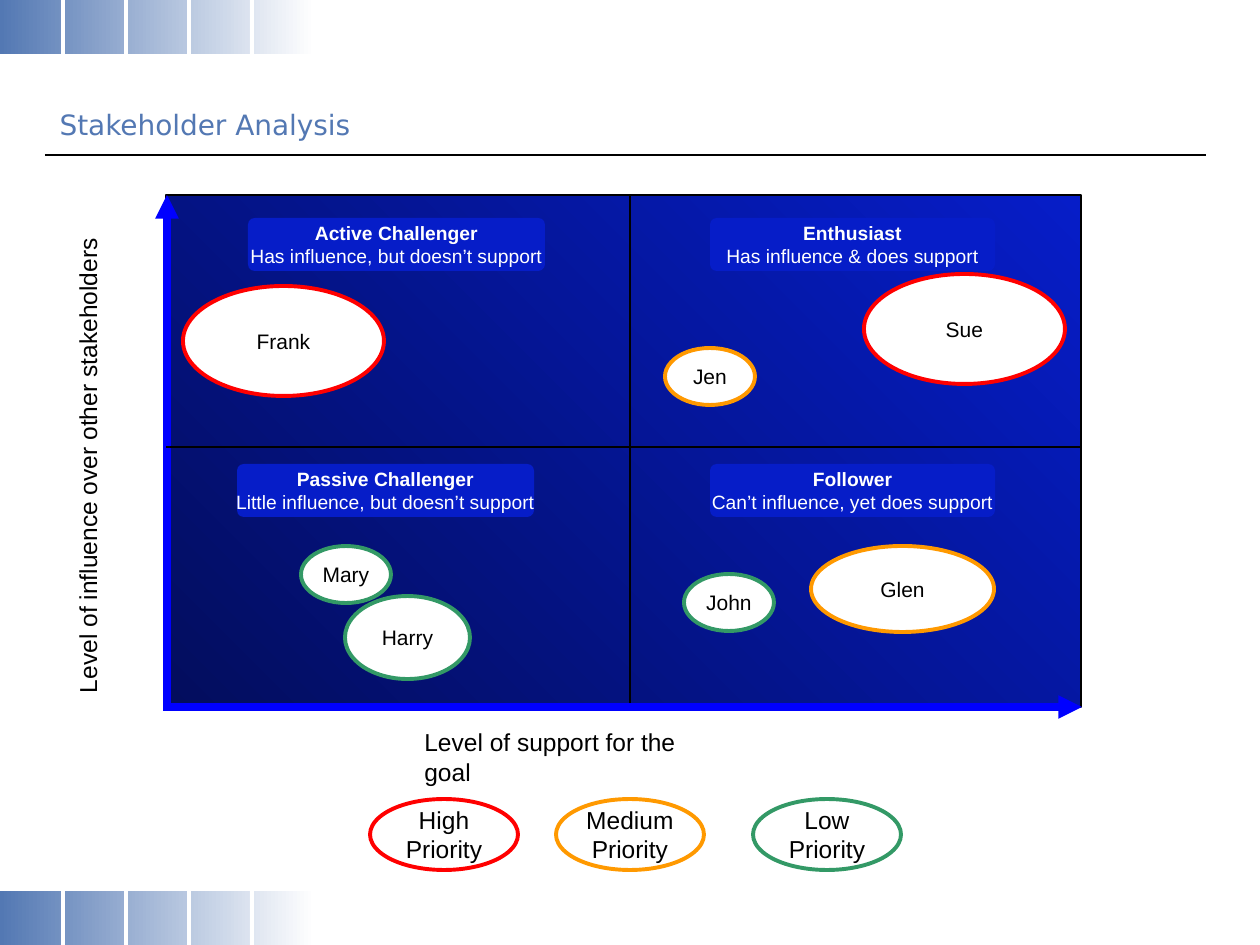
from lxml.etree import SubElement
from pptx import Presentation
from pptx.dml.color import RGBColor
from pptx.enum.shapes import MSO_CONNECTOR, MSO_SHAPE
from pptx.enum.text import MSO_ANCHOR, MSO_AUTO_SIZE, PP_ALIGN
from pptx.oxml.ns import qn
from pptx.util import Emu, Pt

BLACK, WHITE = "000000", "FFFFFF"
STEEL, NAVY, ROYAL, BLUE = "5378B3", "030D5D", "061DC8", "0000FF"
HIGH, MEDIUM, LOW = "FF0000", "FF9900", "339966"


def color(value):
    return RGBColor.from_string(value)


def px(value):
    return Emu(round(value * 914400 / 126))


class SlideBuilder:
    """Draws styled elements on the current slide."""

    font = "Arial"
    title_font = "DejaVu Sans"

    def __init__(self, slide):
        self.slide = slide

    def add_lines(self, frame, lines, size, text_color, align=PP_ALIGN.CENTER, bold_first=False, font=None):
        for index, text in enumerate(lines):
            paragraph = frame.paragraphs[0] if index == 0 else frame.add_paragraph()
            paragraph.alignment = align
            run = paragraph.add_run()
            run.text = text
            run.font.name = font or self.font
            run.font.size = Pt(size)
            run.font.bold = bold_first and index == 0
            run.font.color.rgb = color(text_color)

    def title(self, text, left, top, width, height):
        shape = self.slide.shapes.title
        shape.left, shape.top, shape.width, shape.height = map(px, (left, top, width, height))
        frame = shape.text_frame
        frame.auto_size = MSO_AUTO_SIZE.NONE
        frame.vertical_anchor = MSO_ANCHOR.MIDDLE
        self.add_lines(frame, [text], 16, STEEL, PP_ALIGN.LEFT, font=self.title_font)

    def shape(self, kind, left, top, width, height, fill=None, outline=None, weight=0.75):
        shape = self.slide.shapes.add_shape(kind, *map(px, (left, top, width, height)))
        shape.shadow.inherit = False
        if fill:
            shape.fill.solid()
            shape.fill.fore_color.rgb = color(fill)
        if outline:
            shape.line.color.rgb = color(outline)
            shape.line.width = Pt(weight)
        else:
            shape.line.fill.background()
        frame = shape.text_frame
        frame.word_wrap = False
        frame.vertical_anchor = MSO_ANCHOR.MIDDLE
        return shape

    def gradient(self, left, top, width, height, colors, angle, outline=None):
        shape = self.shape(MSO_SHAPE.RECTANGLE, left, top, width, height, outline=outline)
        shape.fill.gradient()
        shape.fill.gradient_angle = angle
        for stop, value in zip(shape.fill.gradient_stops, colors):
            stop.color.rgb = color(value)

    def line(self, start_x, start_y, end_x, end_y, line_color=BLACK, weight=0.75, arrow=False):
        connector = self.slide.shapes.add_connector(
            MSO_CONNECTOR.STRAIGHT, *map(px, (start_x, start_y, end_x, end_y)))
        connector.line.color.rgb = color(line_color)
        connector.line.width = Pt(weight)
        properties = connector._element.spPr
        if arrow:
            SubElement(properties.find(qn("a:ln")), qn("a:tailEnd"), type="triangle")
        SubElement(properties, qn("a:effectLst"))

    def label(self, text, left, top, width, height, rotation=0):
        box = self.slide.shapes.add_textbox(*map(px, (left, top, width, height)))
        box.rotation = rotation
        box.text_frame.word_wrap = False
        box.text_frame.auto_size = MSO_AUTO_SIZE.SHAPE_TO_FIT_TEXT
        self.add_lines(box.text_frame, [text], 14, BLACK, PP_ALIGN.LEFT)

    def quadrant(self, name, description, left, top, width):
        shape = self.shape(MSO_SHAPE.ROUNDED_RECTANGLE, left, top, width, 53, ROYAL)
        shape.adjustments[0] = 0.125
        self.add_lines(shape.text_frame, [name, description], 11, WHITE, bold_first=True)

    def bubble(self, lines, left, top, width, height, priority, size=12):
        shape = self.shape(MSO_SHAPE.OVAL, left, top, width, height, WHITE, priority, 2.25)
        self.add_lines(shape.text_frame, lines, size, BLACK)


def main():
    presentation = Presentation()
    presentation.slide_width, presentation.slide_height = px(1260), px(945)
    builder = SlideBuilder(presentation.slides.add_slide(presentation.slide_layouts[5]))

    for bar_top, gap_top in ((891, 880), (0, 0)):
        builder.gradient(0, bar_top, 315, 54, (STEEL, WHITE), 0)
        for gap_x in range(63, 315, 63):
            builder.line(gap_x, gap_top, gap_x, gap_top + 65, WHITE, 2)
    builder.line(45, 155, 1206, 155)
    builder.title("Stakeholder Analysis", 47, 97, 1071, 55)

    builder.gradient(166, 195, 915, 512, (NAVY, ROYAL), 45, BLACK)
    builder.line(167, 711, 167, 195, BLUE, 4.5, arrow=True)
    builder.line(167, 707, 1082, 707, BLUE, 4.5, arrow=True)
    builder.label("Level of support for the goal", 412, 721, 329, 43)
    builder.label("Level of influence over other stakeholders", -152, 444, 480, 43, 270)
    builder.line(630, 195, 630, 703)
    builder.line(1082, 447, 166, 447)

    for quadrant in (
        ("Passive Challenger", "Little influence, but doesn’t support", 237, 464, 297),
        ("Enthusiast", "Has influence & does support", 710, 218, 285),
        ("Active Challenger", "Has influence, but doesn’t support", 248, 218, 297),
        ("Follower", "Can’t influence, yet does support", 710, 464, 285),
    ):
        builder.quadrant(*quadrant)

    for level, left, priority in (("High", 370, HIGH), ("Medium", 556, MEDIUM), ("Low", 753, LOW)):
        builder.bubble([level, "Priority"], left, 799, 148, 71, priority, 14)

    for name, left, top, width, height, priority in (
        ("Frank", 183, 286, 201, 110, HIGH),
        ("John", 684, 574, 90, 57, LOW),
        ("Jen", 665, 348, 90, 57, MEDIUM),
        ("Mary", 301, 546, 90, 57, LOW),
        ("Harry", 345, 596, 125, 83, LOW),
        ("Glen", 811, 546, 183, 86, MEDIUM),
        ("Sue", 864, 274, 201, 110, HIGH),
    ):
        builder.bubble([name], left, top, width, height, priority)

    presentation.save("out.pptx")


if __name__ == "__main__":
    main()
